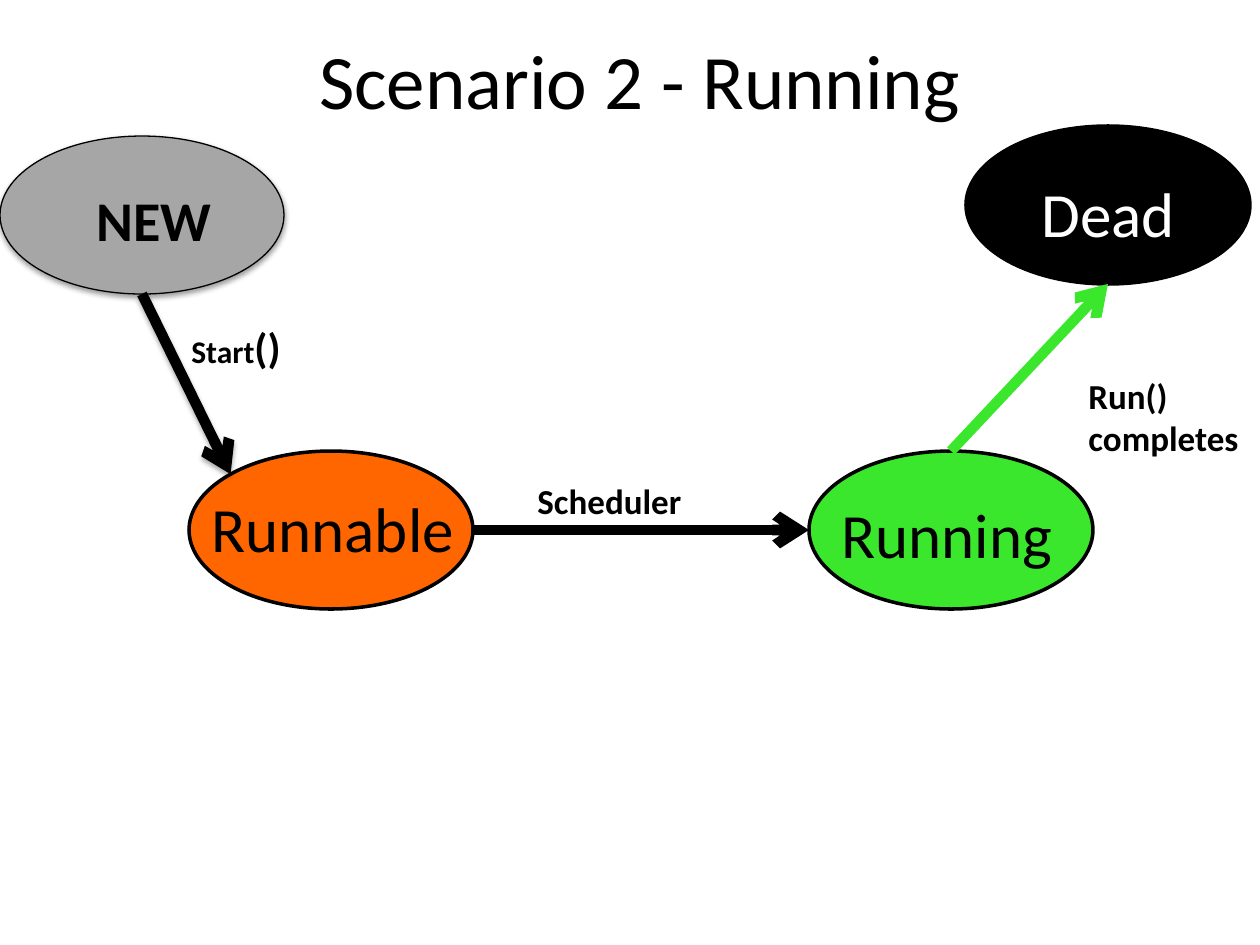
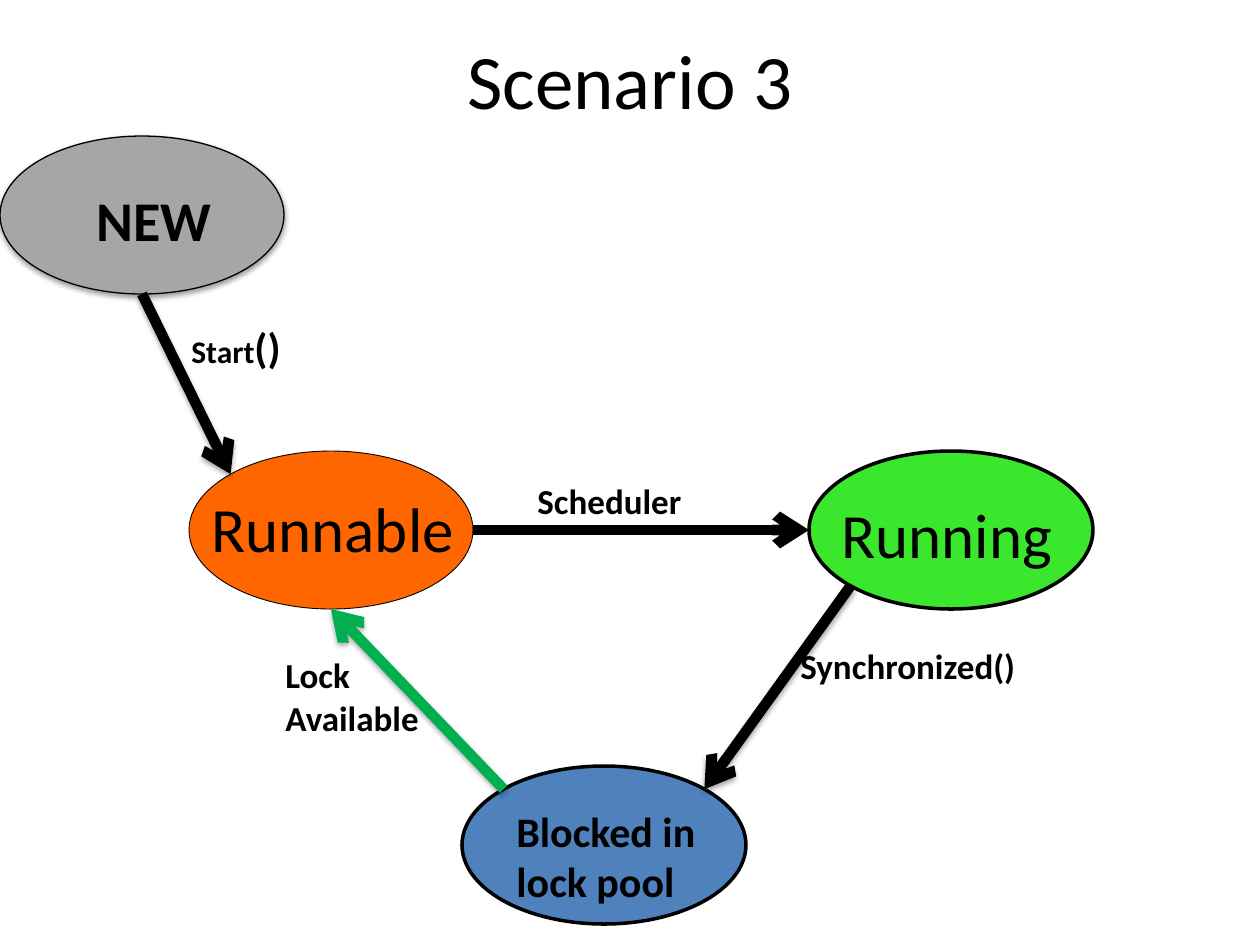
import math

from lxml import etree
from pptx import Presentation
from pptx import util as u
from pptx.dml.color import RGBColor
from pptx.enum import shapes, text
from pptx.oxml.ns import qn

PX = 914400 / 126
FONT = "Calibri"
BLACK = RGBColor(0x00, 0x00, 0x00)
WHITE = RGBColor(0xFF, 0xFF, 0xFF)
GREY = RGBColor(0xA6, 0xA6, 0xA6)
ORANGE = RGBColor(0xFF, 0x66, 0x00)
LIME = RGBColor(0x3A, 0xE7, 0x2D)
GREEN = RGBColor(0x00, 0xB0, 0x50)
BLUE = RGBColor(0x4F, 0x81, 0xBD)

STATE_W, STATE_H = 284, 158
TOP, RIGHT, BOTTOM, LEFT = -90, 0, 90, 180
TOP_LEFT, TOP_RIGHT, BOTTOM_LEFT = -135, -45, 135

NEW = dict(at=(0, 136), fill=GREY, line=0.75, shadow=38, label="NEW",
           box=(84, 179, 168, 81), size=32, bold=True, box_fill=GREY)
RUNNABLE = dict(at=(189, 451), fill=ORANGE, line=2, label="Runnable",
                box=(199, 483, 284, 89), size=36)
RUNNING = dict(at=(809, 451), fill=LIME, line=2, label="Running",
               box=(829, 489, 273, 89), size=36)
DEAD = dict(at=(966, 126), fill=BLACK, line=2, label="Dead",
            box=(1029, 168, 210, 89), size=36, color=WHITE)
BLOCKED = dict(at=(462, 766), fill=BLUE, line=2, label="Blocked in lock pool",
               box=(504, 799, 231, 115), size=24, bold=True)

START = dict(ends=(NEW, BOTTOM, RUNNABLE, TOP_LEFT), shadow=35,
             label=[("Start", 18), ("()", 24)], box=(179, 315, 179, 63))
SCHEDULER = dict(ends=(RUNNABLE, RIGHT, RUNNING, LEFT),
                 label="Scheduler", box=(525, 473, 210, 55))
COMPLETES = dict(ends=(RUNNING, TOP, DEAD, BOTTOM), color=LIME,
                 label="Run() completes", box=(1076, 368, 184, 97))
SYNCHRONIZED = dict(ends=(RUNNING, BOTTOM_LEFT, BLOCKED, TOP_RIGHT), shadow=35,
                    label="Synchronized()", box=(788, 638, 242, 55))
LOCK = dict(ends=(BLOCKED, TOP_LEFT, RUNNABLE, BOTTOM), color=GREEN, shadow=35,
            label=[("Lock", 20), (" ", 24), ("Available", 20)],
            box=(273, 640, 189, 106))

SLIDES = [
    dict(title="Scenario 2 - Running", title_left=73,
         states=[DEAD, NEW, RUNNING, RUNNABLE],
         moves=[START, SCHEDULER, COMPLETES]),
    dict(title="Scenario 3", title_left=63,
         states=[{**RUNNABLE, "line": 0.5}, NEW, RUNNING, BLOCKED],
         moves=[START, SCHEDULER, SYNCHRONIZED, LOCK]),
]


def px(*values):
    return [u.Emu(round(v * PX)) for v in values]


def write(tf, content, size=20, bold=False, color=BLACK, align=None):
    tf.word_wrap = True
    p = tf.paragraphs[0]
    p.alignment = align
    runs = [(content, size)] if isinstance(content, str) else content
    for words, points in runs:
        r = p.add_run()
        r.text = words
        r.font.name, r.font.size = FONT, u.Pt(points)
        r.font.bold, r.font.color.rgb = bold, color


def add_label(slide, content, box, fill=None, **style):
    sp = slide.shapes.add_textbox(*px(*box))
    if fill is not None:
        sp.fill.solid()
        sp.fill.fore_color.rgb = fill
    write(sp.text_frame, content, **style)


def set_shadow(sp, opacity):
    effects = etree.SubElement(sp._element.spPr, qn("a:effectLst"))
    if opacity:
        shadow = etree.SubElement(effects, qn("a:outerShdw"), blurRad=str(u.Pt(3.1)),
                                  dist=str(u.Pt(1.7)), dir="5400000", rotWithShape="0")
        color = etree.SubElement(shadow, qn("a:srgbClr"), val=str(BLACK))
        etree.SubElement(color, qn("a:alpha"), val=str(opacity * 1000))


def add_state(slide, state):
    sp = slide.shapes.add_shape(shapes.MSO_SHAPE.OVAL, *px(*state["at"], STATE_W, STATE_H))
    sp.fill.solid()
    sp.fill.fore_color.rgb = state["fill"]
    sp.line.color.rgb = BLACK
    sp.line.width = u.Pt(state["line"])
    set_shadow(sp, state.get("shadow"))
    add_label(slide, state["label"], state["box"], state.get("box_fill"),
              size=state["size"], bold=state.get("bold", False),
              color=state.get("color", BLACK))


def rim(state, degrees):
    left, top = state["at"]
    angle = math.radians(degrees)
    return (left + STATE_W / 2 * (1 + math.cos(angle)),
            top + STATE_H / 2 * (1 + math.sin(angle)))


def add_arrow(slide, move):
    source, leave, target, arrive = move["ends"]
    line = slide.shapes.add_connector(shapes.MSO_CONNECTOR.STRAIGHT,
                                      *px(*rim(source, leave), *rim(target, arrive)))
    line.line.color.rgb = move.get("color", BLACK)
    line.line.width = u.Pt(6)
    etree.SubElement(line.line._get_or_add_ln(), qn("a:tailEnd"), type="arrow")
    set_shadow(line, move.get("shadow"))


def add_title(slide, content, left):
    sp = slide.shapes.title
    sp.left, sp.top, sp.width, sp.height = px(left, 0, 1134, 158)
    sp.text_frame.vertical_anchor = text.MSO_ANCHOR.MIDDLE
    write(sp.text_frame, content, size=44, align=text.PP_ALIGN.CENTER)


def main():
    prs = Presentation()
    prs.slide_width, prs.slide_height = px(1260, 945)
    for content in SLIDES:
        slide = prs.slides.add_slide(prs.slide_layouts[5])
        add_title(slide, content["title"], content["title_left"])
        for state in content["states"]:
            add_state(slide, state)
        for move in content["moves"]:
            add_arrow(slide, move)
            add_label(slide, move["label"], move["box"], bold=True)
    prs.save("out.pptx")


if __name__ == "__main__":
    main()
